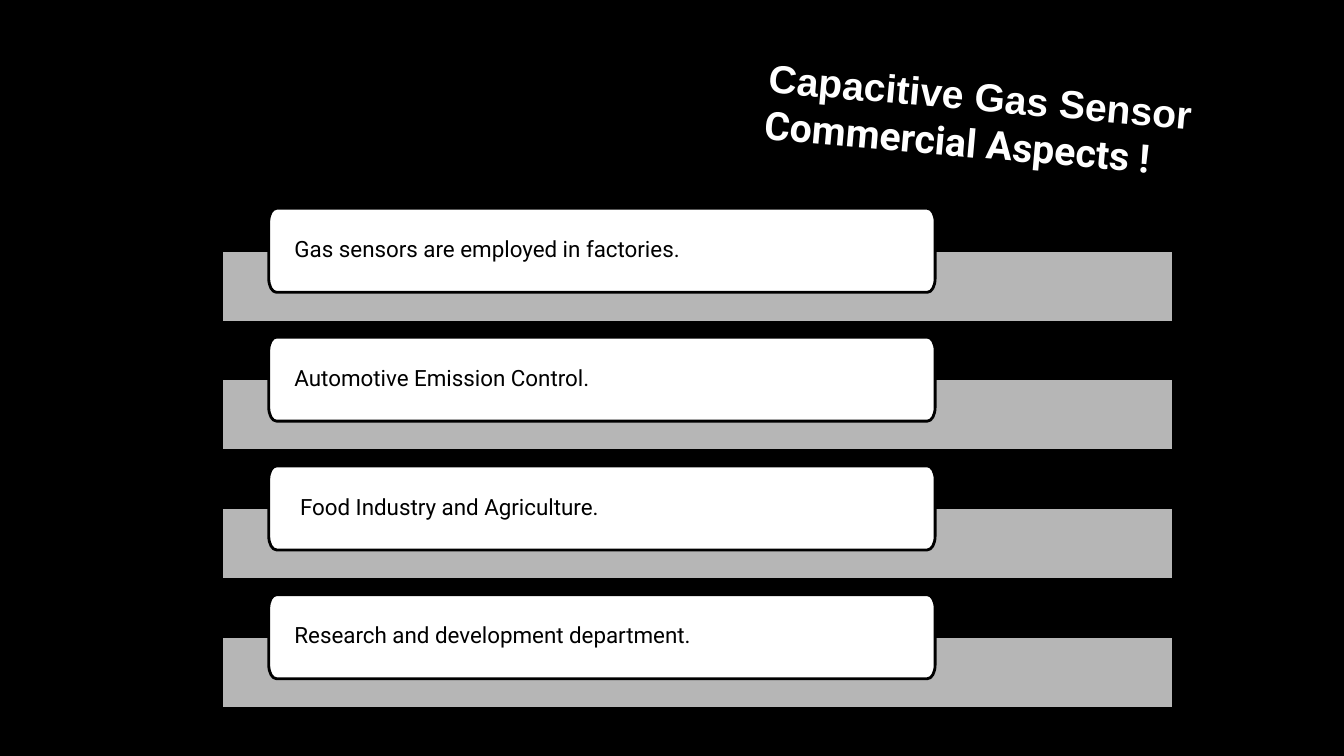
from lxml import etree
from pptx import Presentation
from pptx.dml.color import RGBColor
from pptx.enum.shapes import MSO_SHAPE
from pptx.enum.text import MSO_ANCHOR, MSO_AUTO_SIZE, PP_ALIGN
from pptx.oxml.ns import qn
from pptx.util import Pt

PX = 5080  # EMU per px, 180 px to the inch


def color(hex_string):
    return RGBColor.from_string(hex_string)


def paint(sp, fill):
    sp.shadow.inherit = False
    sp.fill.solid()
    sp.fill.fore_color.rgb = color(fill)
    sp.line.color.rgb = color("000000")
    sp.line.width = Pt(2)


prs = Presentation()
prs.slide_width, prs.slide_height = 2400 * PX, 1350 * PX
slide = prs.slides.add_slide(prs.slide_layouts[6])
slide.background.fill.solid()
slide.background.fill.fore_color.rgb = color("000000")

# Tilted title
title = slide.shapes.add_textbox(1350 * PX, 125 * PX, 911 * PX, 188 * PX)
title.rotation = 5.05
tf = title.text_frame
tf.word_wrap = True
tf.auto_size = MSO_AUTO_SIZE.SHAPE_TO_FIT_TEXT
tf.text = "Capacitive Gas Sensor\nCommercial Aspects !"
for p, font in zip(tf.paragraphs, ("Arial", "Roboto")):
    r = p.runs[0]
    r.font.name = font
    r.font.size = Pt(28)
    r.font.bold = True
    r.font.color.rgb = color("FFFFFF")

# Card outline: the ends of each edge, clockwise from the left edge
W, H, CORNER_W, CORNER_H = 1190, 150, 14, 25
outline = [
    (0, CORNER_H), (CORNER_W, 0), (W - CORNER_W, 0), (W, CORNER_H),
    (W, H - CORNER_H), (W - CORNER_W, H), (CORNER_W, H), (0, H - CORNER_H),
]
sharp_corners = [(0, 0), (W, 0), (W, H), (0, H)]
ROUNDNESS = 0.55  # Bezier handle length for a quarter ellipse

# One bar with a card for each application
applications = [
    "Gas sensors are employed in factories.",
    "Automotive Emission Control.",
    " Food Industry and Agriculture.",
    "Research and development department.",
]
PITCH = 230
for i, text in enumerate(applications):
    bar = slide.shapes.add_shape(MSO_SHAPE.RECTANGLE, 396 * PX,
                                 (447 + i * PITCH) * PX, 1699 * PX, 128 * PX)
    paint(bar, "CACACA")
    fill_color = bar.fill._xPr.find(qn("a:solidFill"))[0]
    etree.SubElement(fill_color, qn("a:alpha"), val="90000")

    builder = slide.shapes.build_freeform(*outline[0], scale=PX)
    builder.add_line_segments(outline[1:], close=True)
    card = builder.convert_to_shape(480 * PX, (372 + i * PITCH) * PX)
    paint(card, "FFFFFF")

    # Turn every second line into a rounded corner
    lines = list(card._element.iter(qn("a:lnTo")))
    for n, corner in enumerate(sharp_corners):
        line, start, end = lines[2 * n], outline[2 * n], outline[2 * n + 1]
        curve = etree.Element(qn("a:cubicBezTo"))
        for point in (start, end):
            x, y = (round(a + (c - a) * ROUNDNESS) for a, c in zip(point, corner))
            etree.SubElement(curve, qn("a:pt"), x=str(x), y=str(y))
        curve.append(line[0])
        line.getparent().replace(line, curve)

    tf = card.text_frame
    tf.word_wrap = True
    tf.vertical_anchor = MSO_ANCHOR.MIDDLE
    tf.margin_left = tf.margin_right = 46 * PX
    tf.margin_top = tf.margin_bottom = 4 * PX
    tf.text = text
    p = tf.paragraphs[0]
    p.alignment = PP_ALIGN.LEFT
    p.line_spacing = 0.9
    r = p.runs[0]
    r.font.name = "Roboto"
    r.font.size = Pt(16)
    r.font.color.rgb = color("000000")

prs.save("out.pptx")
